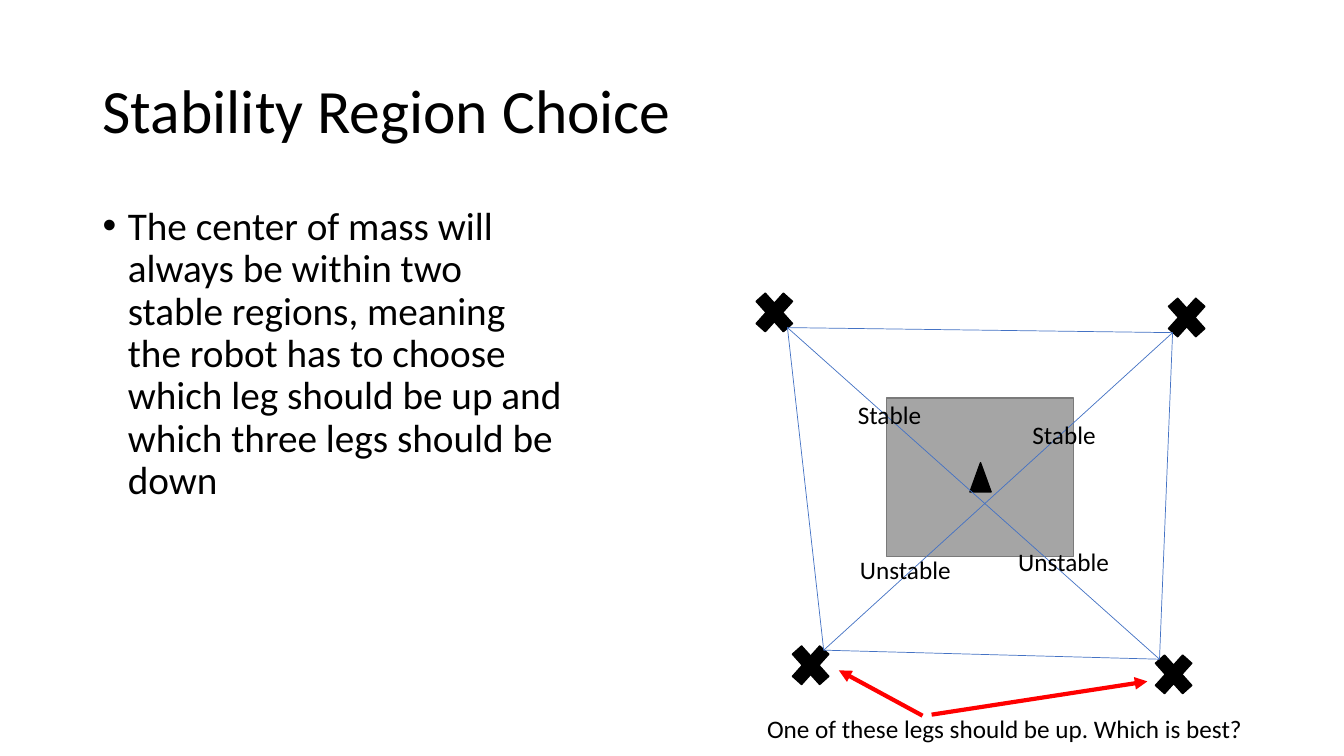
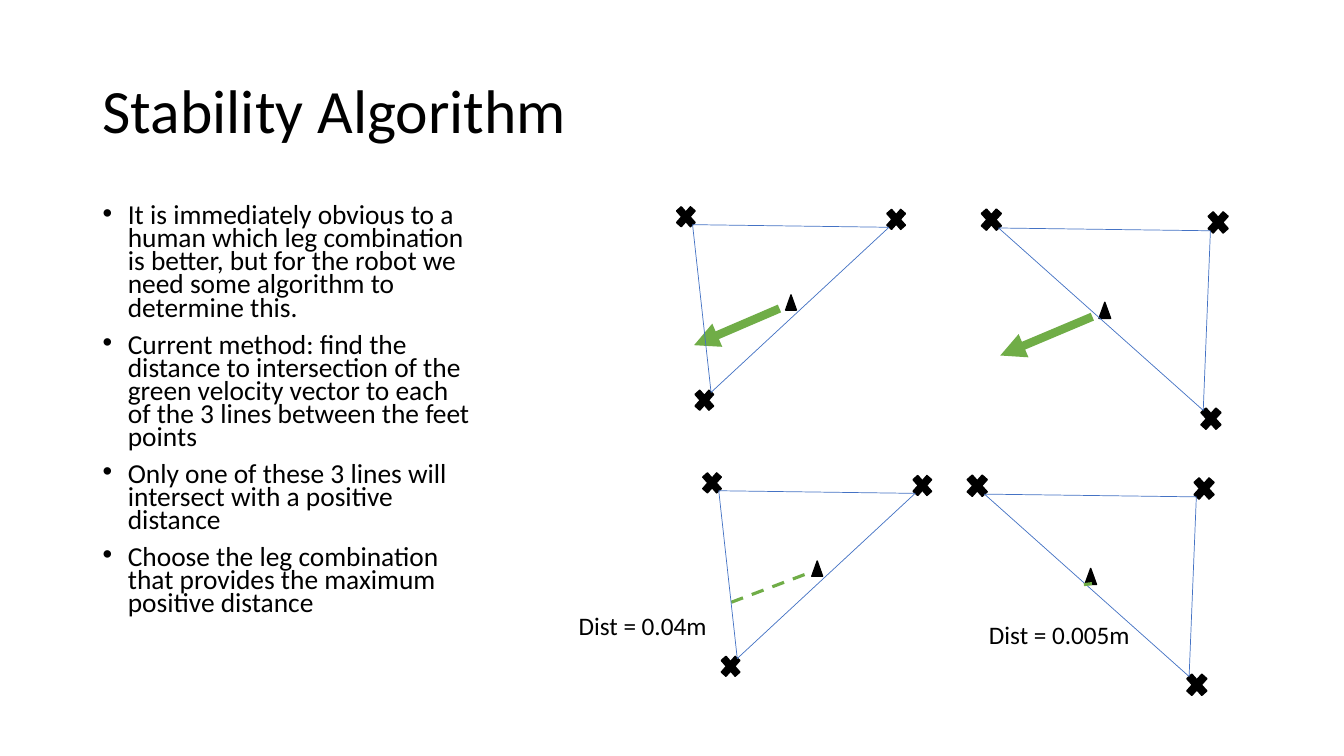
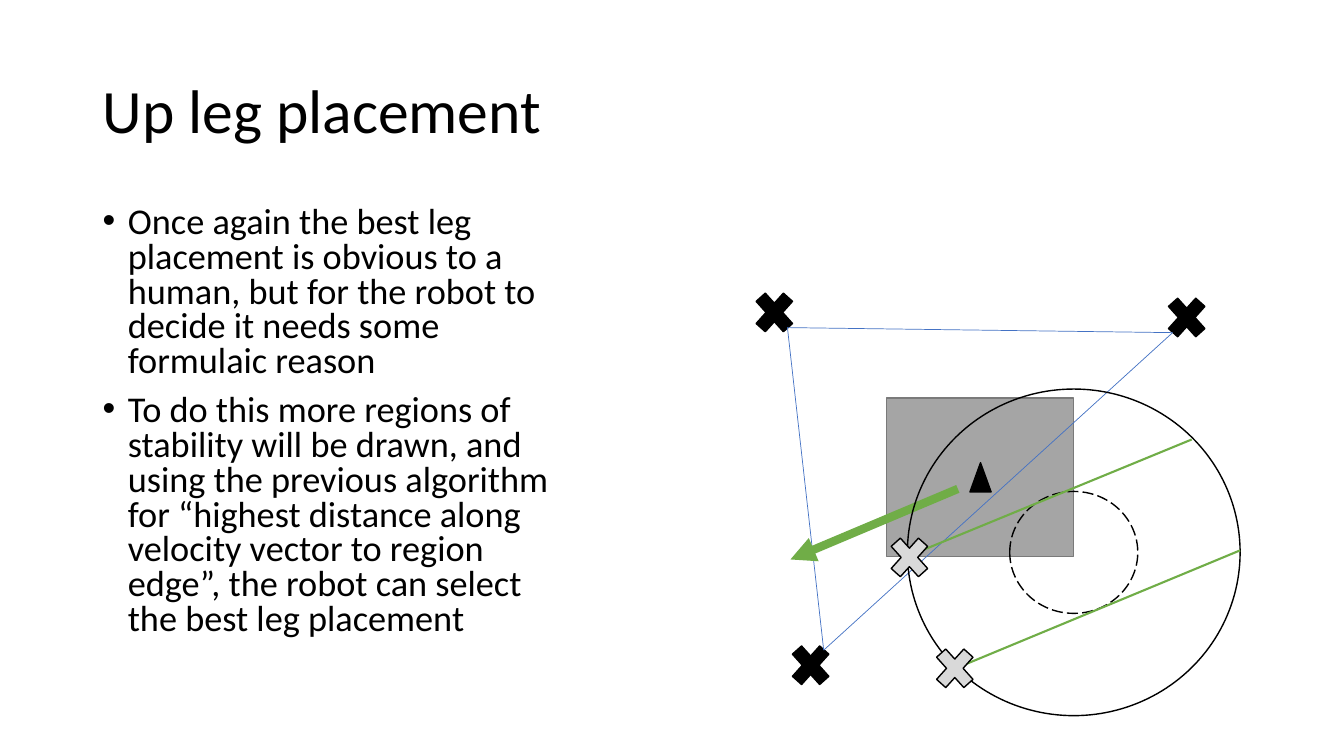
"""Build three slides on choosing stable leg positions for a walking robot."""
from dataclasses import dataclass
from itertools import combinations

from pptx import Presentation
from pptx.dml.color import RGBColor
from pptx.enum.dml import MSO_LINE
from pptx.enum.shapes import MSO_CONNECTOR, MSO_SHAPE
from pptx.enum.text import MSO_ANCHOR, MSO_AUTO_SIZE
from pptx.oxml.ns import qn
from pptx.util import Inches, Pt

BLACK = RGBColor(0x00, 0x00, 0x00)
GRAY = RGBColor(0xA5, 0xA5, 0xA5)
DARK_GRAY = RGBColor(0x7A, 0x7A, 0x7A)
LIGHT_GRAY = RGBColor(0xD9, 0xD9, 0xD9)
BLUE = RGBColor(0x44, 0x72, 0xC4)
GREEN = RGBColor(0x70, 0xAD, 0x47)
RED = RGBColor(0xFF, 0x00, 0x00)
FONT = "Calibri"

STRAIGHT = MSO_CONNECTOR.STRAIGHT
RECT = MSO_SHAPE.RECTANGLE
OVAL = MSO_SHAPE.OVAL
TRIANGLE = MSO_SHAPE.ISOSCELES_TRIANGLE
CROSS = MSO_SHAPE.MATH_MULTIPLY
DASH = MSO_LINE.DASH
LONG_DASH = MSO_LINE.LONG_DASH
MIDDLE = MSO_ANCHOR.MIDDLE
FIT_SHAPE = MSO_AUTO_SIZE.SHAPE_TO_FIT_TEXT

FOOT_W, FOOT_H = 0.52, 0.58
FEET = {"FL": (0, 0), "FR": (4.09, 0.05), "BL": (0.36, 3.5), "BR": (3.96, 3.59)}
TIP_X = {"L": 0.39, "R": 0.12}
TIP_Y = {"F": 0.44, "B": 0.14}
BODY = (1.37, 1.14, 1.86, 1.57)
HEADING = (2.2, 1.78, 0.21, 0.29)
VELOCITY = ((2.08, 2.04), (0.42, 2.74))
LEFT_LEGS = ("FL", "FR", "BL")
RIGHT_LEGS = ("FL", "FR", "BR")


@dataclass
class Stance:
    """Place of the robot drawing, with the scale of each axis."""
    x: float
    y: float
    sx: float = 1
    sy: float = 1

    def point(self, x, y):
        """Turn a point of the drawing into a point of the slide."""
        return self.x + x * self.sx, self.y + y * self.sy

    def box(self, x, y, w, h):
        """Turn a box of the drawing into a box of the slide."""
        return (*self.point(x, y), w * self.sx, h * self.sy)


FULL = Stance(7.42, 2.81)


def add_text(s, box, lines, size, spacing=None, wrap=True):
    """Add a text box with one paragraph per line."""
    tb = s.shapes.add_textbox(*map(Inches, box))
    tf = tb.text_frame
    tf.word_wrap = wrap
    tf.text = "\n".join(lines)
    for p in tf.paragraphs:
        if spacing:
            p.line_spacing = spacing
        for r in p.runs:
            r.font.name = FONT
            r.font.size = Pt(size)
            r.font.color.rgb = BLACK
    return tf


def add_title(s, text):
    """Add the slide title."""
    tf = add_text(s, (0.92, 0.4, 11.5, 1.45), [text], 44, 0.9)
    tf.vertical_anchor = MIDDLE


def add_bullets(s, lines, width, size, spacing):
    """Add the bulleted text on the left."""
    tf = add_text(s, (0.92, 2, width, 4.76), lines, size, spacing)
    for i, p in enumerate(tf.paragraphs):
        p.space_before = Pt(10 if i else 0)
        pPr = p._p.get_or_add_pPr()
        pPr.set("marL", str(Inches(0.25)))
        pPr.set("indent", str(Inches(-0.25)))
        font = pPr.makeelement(qn("a:buFont"), {"typeface": "Arial"})
        char = pPr.makeelement(qn("a:buChar"), {"char": "•"})
        pPr.extend([font, char])


def add_label(s, text, x, y, w):
    """Add a one-line label."""
    tf = add_text(s, (x, y, w, 0.4), [text], 18, wrap=False)
    tf.auto_size = FIT_SHAPE


def add_shape(s, kind, box, fill=None, line=BLACK, dash=None):
    """Add a preset shape with a thin outline."""
    sp = s.shapes.add_shape(kind, *map(Inches, box))
    sp.shadow.inherit = False
    if fill is None:
        sp.fill.background()
    else:
        sp.fill.solid()
        sp.fill.fore_color.rgb = fill
    sp.line.color.rgb = line
    sp.line.width = Pt(1)
    if dash:
        sp.line.dash_style = dash


def add_line(s, start, end, color, width, dash=None, arrow=False):
    """Add a straight line, with an arrowhead at its end if asked."""
    c = s.shapes.add_connector(STRAIGHT, *map(Inches, (*start, *end)))
    c.line.color.rgb = color
    c.line.width = Pt(width)
    if dash:
        c.line.dash_style = dash
    spPr = c._element.spPr
    if arrow:
        ln = c.line._get_or_add_ln()
        ln.append(ln.makeelement(qn("a:tailEnd"), {"type": "triangle"}))
    spPr.append(spPr.makeelement(qn("a:effectLst"), {}))


def add_stance(s, stance, legs, body=False):
    """Draw the feet on the ground and the region between them."""
    if body:
        add_shape(s, RECT, stance.box(*BODY), GRAY, DARK_GRAY)
    tips = []
    for leg in legs:
        x, y = FEET[leg]
        add_shape(s, CROSS, stance.box(x, y, FOOT_W, FOOT_H), BLACK)
        tips.append(stance.point(x + TIP_X[leg[1]], y + TIP_Y[leg[0]]))
    add_shape(s, TRIANGLE, stance.box(*HEADING), BLACK)
    for start, end in combinations(tips, 2):
        add_line(s, start, end, BLUE, 0.5)


def add_velocity(s, stance):
    """Draw the green velocity vector."""
    start, end = VELOCITY
    add_line(s, stance.point(*start), stance.point(*end), GREEN, 6, arrow=True)


def add_ring(s, w, h, dash=None):
    """Draw an ellipse around the hip of the raised leg."""
    add_shape(s, OVAL, (10.65 - w / 2, 5.48 - h / 2, w, h), dash=dash)


def build_choice(s):
    """Fill the slide on choosing a region."""
    add_title(s, "Stability Region Choice")
    add_bullets(s, [
        "The center of mass will always be within two stable regions, meaning "
        "the robot has to choose which leg should be up and which three legs "
        "should be down",
    ], 4.77, 28, 0.9)
    add_stance(s, FULL, FEET, body=True)
    for text, x, y, w in (
        ("Unstable", 10, 5.37, 1.11),
        ("Unstable", 8.43, 5.45, 1.11),
        ("Stable", 10.14, 4.11, 0.84),
        ("Stable", 8.41, 3.91, 0.84),
        ("One of these legs should be up. Which is best?", 7.51, 7.03, 4.97),
    ):
        add_label(s, text, x, y, w)
    add_line(s, (9.15, 7.1), (8.32, 6.65), RED, 3, arrow=True)
    add_line(s, (9.24, 7.09), (11.38, 6.76), RED, 3, arrow=True)


def build_algorithm(s):
    """Fill the slide on comparing two leg combinations."""
    add_title(s, "Stability Algorithm")
    add_bullets(s, [
        "It is immediately obvious to a human which leg combination is better, "
        "but for the robot we need some algorithm to determine this.",
        "Current method: find the distance to intersection of the green "
        "velocity vector to each of the 3 lines between the feet points",
        "Only one of these 3 lines will intersect with a positive distance",
        "Choose the leg combination that provides the maximum positive distance",
    ], 3.9, 19.6, 0.7)
    left, right = (0.51, 0.52), (0.55, 0.55)
    for stance, legs in (
        (Stance(9.69, 2.02, *right), RIGHT_LEGS),
        (Stance(6.67, 2, *left), LEFT_LEGS),
    ):
        add_velocity(s, stance)
        add_stance(s, stance, legs)
    add_line(s, (7.98, 5.7), (7.24, 5.98), GREEN, 2.25, DASH)
    add_stance(s, Stance(6.93, 4.64, *left), LEFT_LEGS)
    add_stance(s, Stance(9.55, 4.66, *right), RIGHT_LEGS)
    add_line(s, (10.83, 5.79), (10.75, 5.8), GREEN, 2.25, DASH)
    add_label(s, "Dist = 0.005m", 9.71, 6.09, 1.61)
    add_label(s, "Dist = 0.04m", 5.64, 6.01, 1.49)


def build_placement(s):
    """Fill the slide on placing the raised leg."""
    add_title(s, "Up leg placement")
    add_bullets(s, [
        "Once again the best leg placement is obvious to a human, but for the "
        "robot to decide it needs some formulaic reason",
        "To do this more regions of stability will be drawn, and using the "
        "previous algorithm for “highest distance along velocity vector to "
        "region edge”, the robot can select the best leg placement",
    ], 4.77, 25.9, 0.8)
    add_stance(s, FULL, LEFT_LEGS, body=True)
    add_velocity(s, FULL)
    add_ring(s, 3.3, 3.24)
    add_ring(s, 1.27, 1.21, LONG_DASH)
    add_line(s, (12.3, 5.46), (9.48, 6.63), GREEN, 1.5)
    add_line(s, (11.82, 4.36), (9, 5.52), GREEN, 1.5)
    for x, y in ((9.21, 6.34), (8.76, 5.24)):
        add_shape(s, CROSS, (x, y, FOOT_W, FOOT_H), LIGHT_GRAY)


def main():
    """Build and save the presentation."""
    prs = Presentation()
    prs.slide_width = Inches(13.33)
    prs.slide_height = Inches(7.5)
    for build in (build_choice, build_algorithm, build_placement):
        build(prs.slides.add_slide(prs.slide_layouts[6]))
    prs.save("out.pptx")


if __name__ == "__main__":
    main()
